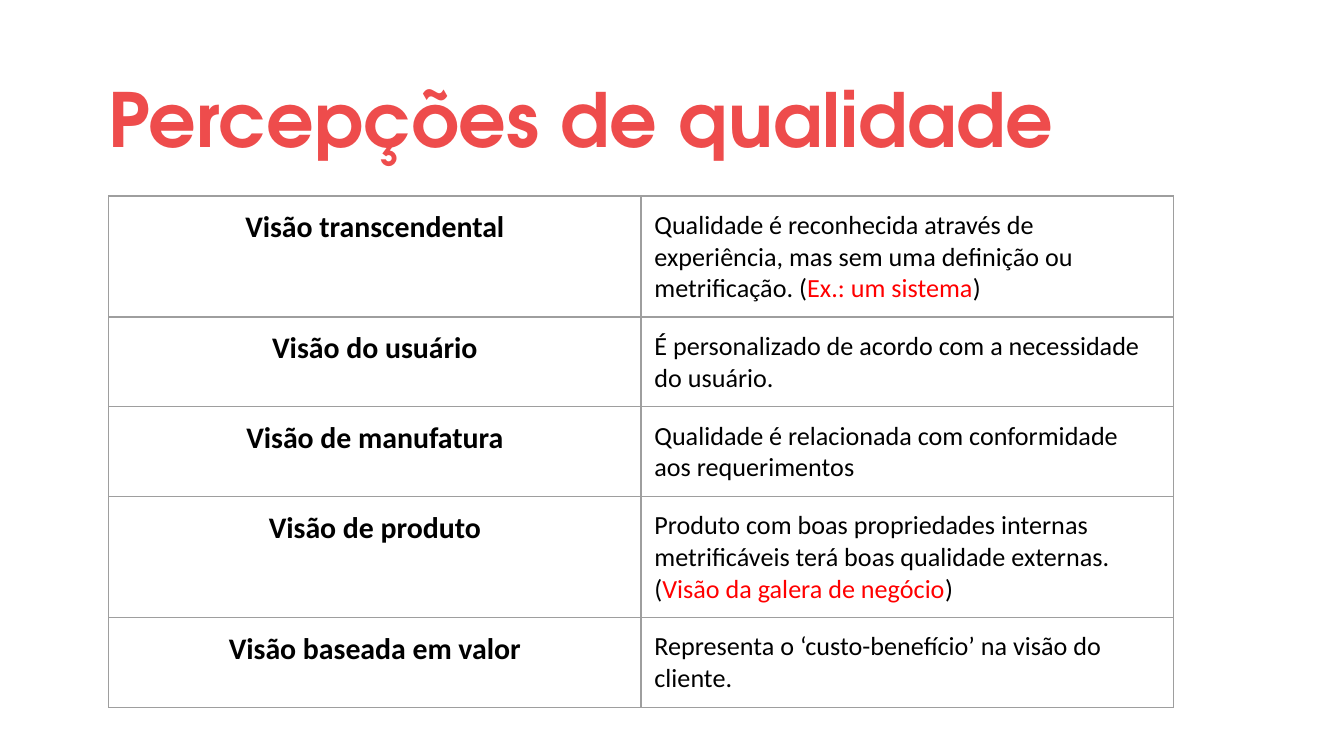
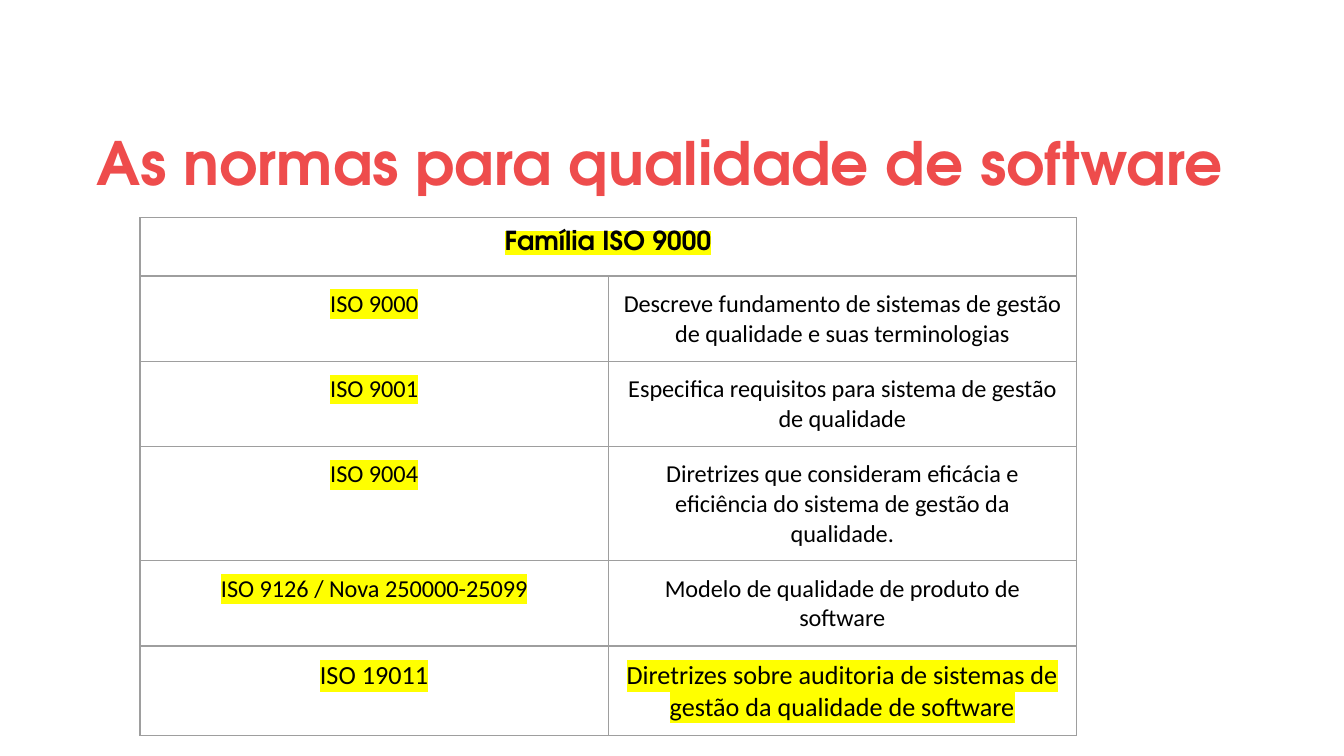
"""Builds two slides with tables on software quality."""
from dataclasses import dataclass

from lxml.etree import SubElement
from pptx import Presentation
from pptx.dml.color import RGBColor
from pptx.enum.text import MSO_ANCHOR, PP_ALIGN
from pptx.oxml.ns import qn
from pptx.util import Pt


@dataclass(frozen=True)
class Theme:
    title_font: str = "TeX Gyre Adventor"
    body_font: str = "Calibri"
    title: str = "EE4C4C"
    text: str = "000000"
    example: str = "FF0000"
    highlight: str = "FFFF00"
    border: str = "9E9E9E"
    border_width: float = 0.75
    heading_size: int = 16
    body_size: int = 14
    small_size: int = 13
    inset: float = 7.2


@dataclass(frozen=True)
class Style:
    size: int
    font: str = Theme.body_font
    color: str = Theme.text
    bold: bool = False
    highlight: bool = False


THEME = Theme()
HEADING = Style(THEME.heading_size, bold=True)
BODY = Style(THEME.body_size)
EXAMPLE = Style(THEME.body_size, color=THEME.example)
FAMILY = Style(THEME.body_size, THEME.title_font, bold=True, highlight=True)
STANDARD = Style(THEME.small_size, highlight=True)
DETAIL = Style(THEME.small_size)
AUDIT = Style(THEME.body_size, highlight=True)

VIEWS = [
    ("Visão transcendental",
     [("Qualidade é reconhecida através de experiência, mas sem uma definição ou metrificação. (", BODY),
      ("Ex.: um sistema", EXAMPLE), (")", BODY)]),
    ("Visão do usuário",
     [("É personalizado de acordo com a necessidade do usuário.", BODY)]),
    ("Visão de manufatura",
     [("Qualidade é relacionada com conformidade aos requerimentos", BODY)]),
    ("Visão de produto",
     [("Produto com boas propriedades internas metrificáveis terá boas qualidade externas. (", BODY),
      ("Visão da galera de negócio", EXAMPLE), (")", BODY)]),
    ("Visão baseada em valor",
     [("Representa o ‘custo-benefício’ na visão do cliente.", BODY)]),
]

STANDARDS = [
    ("ISO 9000", "Descreve fundamento de sistemas de gestão de qualidade e suas terminologias"),
    ("ISO 9001", "Especifica requisitos para sistema de gestão de qualidade"),
    ("ISO 9004", "Diretrizes que consideram eficácia e eficiência do sistema de gestão da qualidade."),
    ("ISO 9126 / Nova 250000-25099", "Modelo de qualidade de produto de software"),
]

SLIDES = [
    {
        "title": "Percepções de qualidade",
        "title_size": 40,
        "title_box": (51, 26.6, 583, 66.2),
        "table_at": (58.3, 105),
        "column_width": 285.1,
        "row_heights": [61.2, 36.7, 30.2, 30.2, 41],
        "rows": [([(view, HEADING)], meaning) for view, meaning in VIEWS],
        "detail_align": PP_ALIGN.LEFT,
    },
    {
        "title": "As normas para qualidade de software",
        "title_size": 32,
        "title_box": (44.6, 50.4, 652, 66.2),
        "table_at": (75, 116.6),
        "column_width": 250.8,
        "row_heights": [31, 45.4, 45.4, 45.4, 30.2, 30.2],
        "rows": [([("Família ISO 9000", FAMILY)],)]
        + [([(name, STANDARD)], [(detail, DETAIL)]) for name, detail in STANDARDS]
        + [([("ISO 19011", AUDIT)],
            [("Diretrizes sobre auditoria de sistemas de gestão da qualidade de software", AUDIT)])],
        "detail_align": PP_ALIGN.CENTER,
    },
]


def format_span(span, style):
    font = span.font
    font.size, font.bold, font.name = Pt(style.size), style.bold, style.font
    font.color.rgb = RGBColor.from_string(style.color)
    if style.highlight:
        properties = span._r.get_or_add_rPr()
        mark = SubElement(properties, qn("a:highlight"))
        SubElement(mark, qn("a:srgbClr"), val=THEME.highlight)
        properties.find(qn("a:solidFill")).addnext(mark)


def set_insets(holder):
    holder.margin_left = holder.margin_right = Pt(THEME.inset)
    holder.margin_top = holder.margin_bottom = Pt(THEME.inset)


def add_title(page, content):
    box = page.shapes.add_textbox(*map(Pt, content["title_box"]))
    frame = box.text_frame
    frame.text = content["title"]
    frame.word_wrap = True
    frame.vertical_anchor = MSO_ANCHOR.MIDDLE
    set_insets(frame)
    para = frame.paragraphs[0]
    para.line_spacing = 1.15
    format_span(para.runs[0], Style(content["title_size"], THEME.title_font, THEME.title, True))


def style_cell(cell):
    set_insets(cell)
    properties = cell._tc.get_or_add_tcPr()
    for side in ("lnL", "lnR", "lnT", "lnB"):
        line = SubElement(properties, qn(f"a:{side}"), w=str(Pt(THEME.border_width)))
        fill = SubElement(line, qn("a:solidFill"))
        SubElement(fill, qn("a:srgbClr"), val=THEME.border)
    cell.fill.background()


def fill_cell(cell, parts, align):
    para = cell.text_frame.paragraphs[0]
    para.alignment = align
    for text, style in parts:
        span = para.add_run()
        span.text = text
        format_span(span, style)


def add_table(page, content):
    heights, width = content["row_heights"], content["column_width"]
    size = (2 * width, sum(heights))
    table = page.shapes.add_table(len(heights), 2, *map(Pt, content["table_at"] + size)).table
    table.first_row = table.horz_banding = False
    for column in table.columns:
        column.width = Pt(width)
    for row, height in zip(table.rows, heights):
        row.height = Pt(height)
    for cell in table.iter_cells():
        style_cell(cell)
    aligns = (PP_ALIGN.CENTER, content["detail_align"])
    for index, row in enumerate(content["rows"]):
        if len(row) == 1:
            table.cell(index, 0).merge(table.cell(index, 1))
        for column, parts in enumerate(row):
            fill_cell(table.cell(index, column), parts, aligns[column])


def main():
    deck = Presentation()
    deck.slide_width, deck.slide_height = Pt(720), Pt(405)
    for content in SLIDES:
        page = deck.slides.add_slide(deck.slide_layouts[6])
        add_title(page, content)
        add_table(page, content)
    deck.save("out.pptx")


if __name__ == "__main__":
    main()
